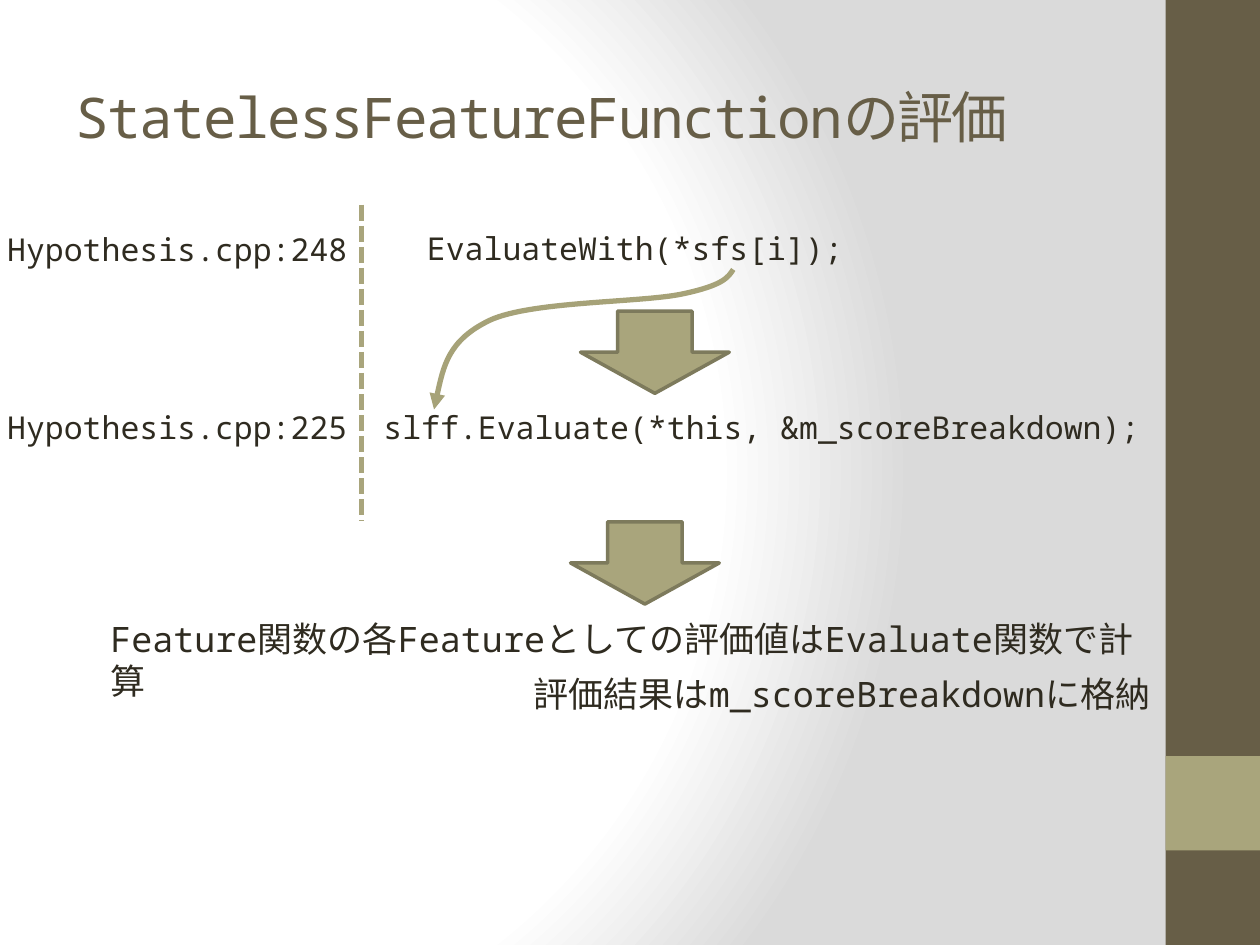
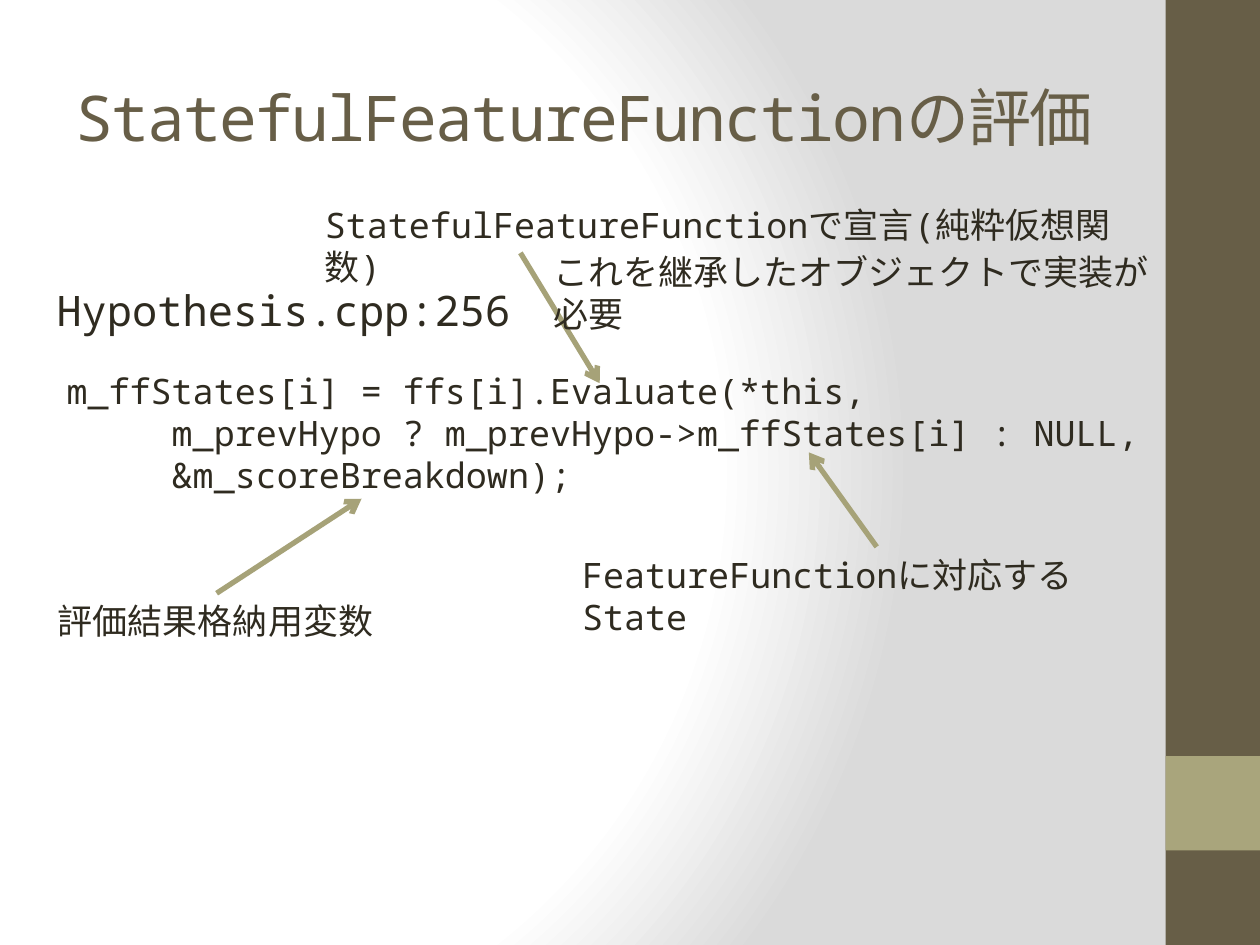
from dataclasses import dataclass

from pptx import Presentation
from pptx.dml.color import RGBColor
from pptx.enum.dml import MSO_LINE
from pptx.enum.shapes import MSO_CONNECTOR, MSO_SHAPE
from pptx.enum.text import MSO_ANCHOR, MSO_AUTO_SIZE, PP_ALIGN
from pptx.oxml import parse_xml
from pptx.oxml.ns import nsdecls, qn
from pptx.oxml.xmlchemy import OxmlElement
from pptx.shapes.autoshape import Shape
from pptx.slide import Slide, SlideMaster
from pptx.util import Pt

RECTANGLE, DOWN_ARROW = MSO_SHAPE.RECTANGLE, MSO_SHAPE.DOWN_ARROW
STRAIGHT = MSO_CONNECTOR.STRAIGHT
SHORT_DASH = MSO_LINE.SQUARE_DOT
MIDDLE = MSO_ANCHOR.MIDDLE
NO_FIT, GROW = MSO_AUTO_SIZE.NONE, MSO_AUTO_SIZE.SHAPE_TO_FIT_TEXT
LEFT = PP_ALIGN.LEFT
TITLE_ONLY = 5


# Colours, type and line sizes
@dataclass(frozen=True)
class Theme:
    font: str = "Noto Sans Mono"
    brown: str = "675E47"
    olive: str = "A9A57C"
    pointer: str = "A6A278"
    outline: str = "7D7A5C"
    ink: str = "2F2B20"
    paper: str = "FFFFFF"
    paper_edge: str = "DADADA"
    title: int = 32
    long_title: int = 36
    code: int = 18
    note: int = 20
    source: int = 24
    line: int = 3
    arrow_outline: int = 2


THEME = Theme()


@dataclass(frozen=True)
class Box:
    left: float
    top: float
    width: float
    height: float

    def lengths(self) -> tuple[Pt, Pt, Pt, Pt]:
        return Pt(self.left), Pt(self.top), Pt(self.width), Pt(self.height)


@dataclass(frozen=True)
class Label:
    text: str
    box: Box
    size: int = THEME.note


@dataclass(frozen=True)
class Pointer:
    start: tuple[float, float]
    end: tuple[float, float]


SLIDE_WIDTH, SLIDE_HEIGHT = 720, 540
BAND = 54
BAND_LEFT = SLIDE_WIDTH - BAND
TITLE_BOX = Box(36, 21.6, 600, 90)
SIDE_BANDS = [
    (Box(BAND_LEFT, 0, BAND, SLIDE_HEIGHT), THEME.brown),
    (Box(BAND_LEFT, 432, BAND, BAND), THEME.olive),
]

# Stateless evaluation
CODE_HEIGHT, NOTE_HEIGHT = 29, 31.5
CALL_TOP, EVALUATE_TOP = 128, 229.6
STATELESS_LABELS = [
    Label("EvaluateWith(*sfs[i]);", Box(236.9, 127.3, 253.6, CODE_HEIGHT), THEME.code),
    Label("Hypothesis.cpp:248", Box(-3, CALL_TOP, 215, CODE_HEIGHT), THEME.code),
    Label("Hypothesis.cpp:225", Box(-3, EVALUATE_TOP, 215, CODE_HEIGHT), THEME.code),
    Label("slff.Evaluate(*this, &m_scoreBreakdown);",
          Box(212, EVALUATE_TOP, 448.5, CODE_HEIGHT), THEME.code),
    Label("Feature関数の各Featureとしての評価値はEvaluate関数で計算",
          Box(56, 349.4, 609, NOTE_HEIGHT)),
    Label("評価結果はm_scoreBreakdownに格納", Box(297.8, 381, 367.5, NOTE_HEIGHT)),
]
STEP_ARROWS = [Box(331.7, 177.8, 85, 47), Box(326, 298.2, 85, 47)]
SOURCE_DIVIDER = Pointer((206.6, 117), (206.6, 298))
# Start point, then two control points and an end point for each curve
ARGUMENT_PATH = [
    (419, 154),
    (416, 158.5), (413.5, 163), (390, 168),
    (366.5, 173), (304, 172), (280, 183),
    (256, 194.5), (252, 214.5), (248, 234),
]

# Stateful evaluation
STATEFUL_LABELS = [
    Label("m_ffStates[i] = ffs[i].Evaluate(*this,\n"
          "     m_prevHypo ? m_prevHypo->m_ffStates[i] : NULL,\n"
          "     &m_scoreBreakdown);", Box(31, 207.4, 629, 80)),
    Label("Hypothesis.cpp:256", Box(25.2, 159, 289.5, 36), THEME.source),
    Label("StatefulFeatureFunctionで宣言(純粋仮想関数)",
          Box(178.6, 113, 493, NOTE_HEIGHT)),
    Label("これを継承したオブジェクトで実装が必要", Box(309, 139.7, 363, NOTE_HEIGHT)),
    Label("FeatureFunctionに対応するState", Box(325.6, 312.5, 350.6, NOTE_HEIGHT)),
    Label("評価結果格納用変数", Box(25.9, 339, 196.6, NOTE_HEIGHT)),
]
STATEFUL_POINTERS = [
    Pointer((297.4, 144.5), (342.7, 219)),
    Pointer((501, 312.5), (462.2, 258.5)),
    Pointer((123.8, 339), (206.6, 285)),
]


def rgb(value: str) -> RGBColor:
    return RGBColor.from_string(value)


def paint_background(master: SlideMaster) -> None:
    """Give every slide the round white-to-grey gradient."""
    master.background.fill.solid()
    stops = [(0, THEME.paper), (75, THEME.paper), (100, THEME.paper_edge)]
    stop_xml = "".join(
        f'<a:gs pos="{position * 1000}"><a:srgbClr val="{colour}"/></a:gs>'
        for position, colour in stops
    )
    gradient = parse_xml(
        f'<a:gradFill {nsdecls("a")} rotWithShape="1"><a:gsLst>{stop_xml}</a:gsLst>'
        '<a:path path="circle"><a:fillToRect l="20000" t="50000" r="100000" b="50000"/>'
        "</a:path></a:gradFill>"
    )
    solid = next(master.element.iter(qn("a:solidFill")))
    solid.getparent().replace(solid, gradient)


def add_block(slide: Slide, preset: MSO_SHAPE, box: Box, colour: str) -> Shape:
    block = slide.shapes.add_shape(preset, *box.lengths())
    block.shadow.inherit = False
    block.fill.solid()
    block.fill.fore_color.rgb = rgb(colour)
    block.line.fill.background()
    return block


def add_step_arrow(slide: Slide, box: Box) -> None:
    arrow = add_block(slide, DOWN_ARROW, box, THEME.olive)
    arrow.line.color.rgb = rgb(THEME.outline)
    arrow.line.width = Pt(THEME.arrow_outline)


def add_arrowhead(shape, kind: str) -> None:
    head = OxmlElement("a:tailEnd")
    head.set("type", kind)
    shape.element.spPr.find(qn("a:ln")).append(head)


def add_line(slide: Slide, pointer: Pointer, colour: str):
    ends = [Pt(value) for value in (*pointer.start, *pointer.end)]
    line = slide.shapes.add_connector(STRAIGHT, *ends)
    line.line.color.rgb = rgb(colour)
    line.line.width = Pt(THEME.line)
    line.element.spPr.append(OxmlElement("a:effectLst"))
    return line


def add_curve(slide: Slide, points: list[tuple[float, float]]) -> None:
    """Draw a chain of Bezier curves that ends in an arrowhead."""
    start, *rest = [(Pt(x), Pt(y)) for x, y in points]
    builder = slide.shapes.build_freeform(*start)
    builder.add_line_segments(rest, close=False)
    curve = builder.convert_to_shape()
    outline = next(curve.element.iter(qn("a:path")))
    segments = outline.findall(qn("a:lnTo"))
    for first in range(0, len(segments), 3):
        bezier = OxmlElement("a:cubicBezTo")
        for segment in segments[first:first + 3]:
            bezier.append(segment[0])
            outline.remove(segment)
        outline.append(bezier)
    curve.shadow.inherit = False
    curve.fill.background()
    curve.line.color.rgb = rgb(THEME.pointer)
    curve.line.width = Pt(THEME.line)
    add_arrowhead(curve, "triangle")


def add_label(slide: Slide, label: Label) -> None:
    frame = slide.shapes.add_textbox(*label.box.lengths()).text_frame
    frame.word_wrap = True
    frame.auto_size = GROW
    frame.text = label.text
    for paragraph in frame.paragraphs:
        paragraph.font.name = THEME.font
        paragraph.font.size = Pt(label.size)
        paragraph.font.color.rgb = rgb(THEME.ink)


def add_titled_slide(deck: Presentation, text: str, size: int) -> Slide:
    slide = deck.slides.add_slide(deck.slide_layouts[TITLE_ONLY])
    for box, colour in SIDE_BANDS:
        add_block(slide, RECTANGLE, box, colour)
    title = slide.shapes.title
    title.left, title.top, title.width, title.height = TITLE_BOX.lengths()
    frame = title.text_frame
    frame.text = text
    frame.auto_size = NO_FIT
    frame.vertical_anchor = MIDDLE
    paragraph = frame.paragraphs[0]
    paragraph.alignment = LEFT
    paragraph.font.name = THEME.font
    paragraph.font.size = Pt(size)
    paragraph.font.color.rgb = rgb(THEME.brown)
    paragraph.runs[0].font.bold = False
    # Tighten the letters by one point
    paragraph.runs[0].font._element.set("spc", "-100")
    return slide


def build_stateless(deck: Presentation) -> None:
    slide = add_titled_slide(deck, "StatelessFeatureFunctionの評価", THEME.title)
    divider = add_line(slide, SOURCE_DIVIDER, THEME.olive)
    divider.line.dash_style = SHORT_DASH
    for box in STEP_ARROWS:
        add_step_arrow(slide, box)
    for label in STATELESS_LABELS:
        add_label(slide, label)
    add_curve(slide, ARGUMENT_PATH)


def build_stateful(deck: Presentation) -> None:
    slide = add_titled_slide(deck, "StatefulFeatureFunctionの評価", THEME.long_title)
    for pointer in STATEFUL_POINTERS:
        add_arrowhead(add_line(slide, pointer, THEME.pointer), "arrow")
    for label in STATEFUL_LABELS:
        add_label(slide, label)


def main() -> None:
    deck = Presentation()
    deck.slide_width, deck.slide_height = Pt(SLIDE_WIDTH), Pt(SLIDE_HEIGHT)
    paint_background(deck.slide_master)
    build_stateless(deck)
    build_stateful(deck)
    deck.save("out.pptx")


if __name__ == "__main__":
    main()
